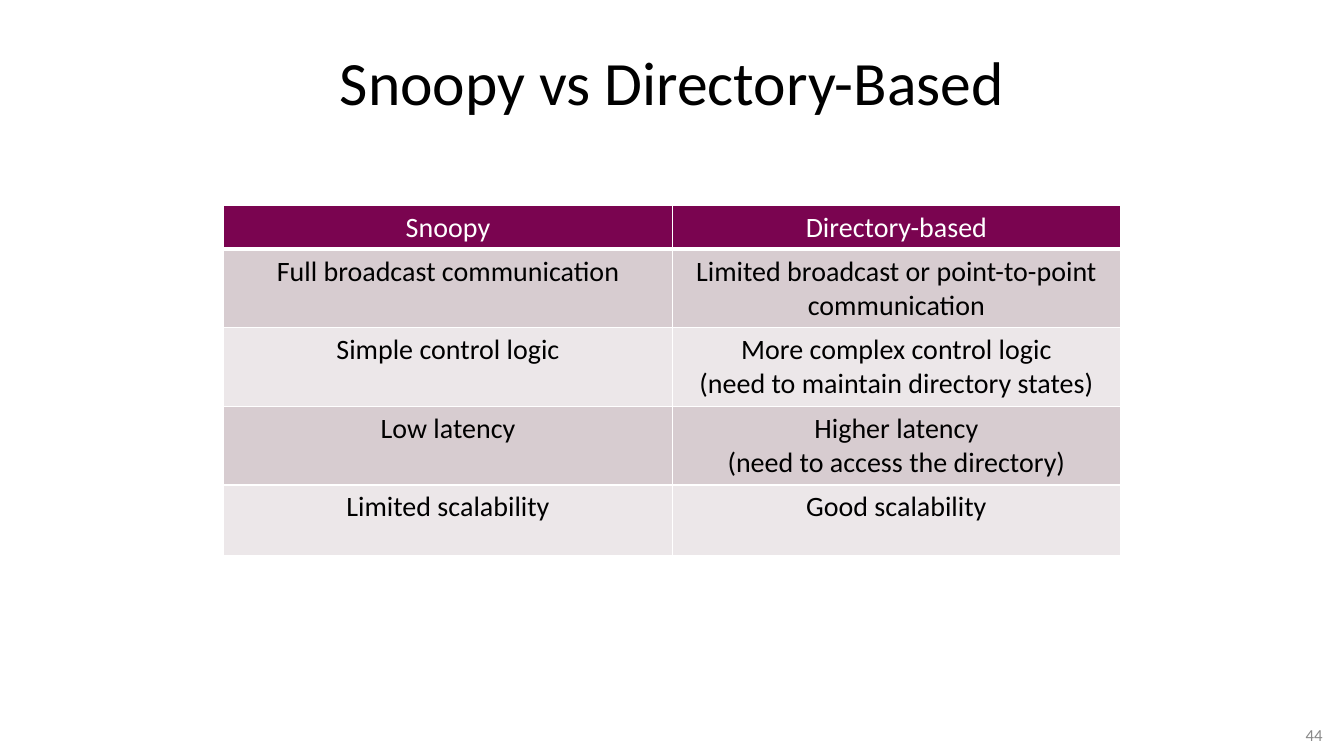
from lxml import etree
from pptx import Presentation
from pptx.dml.color import RGBColor
from pptx.enum import text
from pptx.oxml import ns
from pptx.util import Cm, Pt

WHITE = RGBColor(0xFF, 0xFF, 0xFF)
BLACK = RGBColor(0, 0, 0)
GREY = RGBColor(0x89, 0x89, 0x89)
PLUM = RGBColor(0x7A, 0x04, 0x50)
ROSE = RGBColor(0xD7, 0xCC, 0xD0)
PALE = RGBColor(0xEC, 0xE7, 0xE9)
ALIGN = text.PP_ALIGN


def style(frame, size, color, align):
    for par in frame.paragraphs:
        par.alignment = align
        par.font.name = "Calibri"
        par.font.size = Pt(size)
        par.font.bold = False
        par.font.color.rgb = color


def border(cell, side, width):
    """Draw a white line on one side (L, R, T or B) of a cell."""
    props = cell._tc.get_or_add_tcPr()
    line = etree.SubElement(props, ns.qn("a:ln" + side), w=str(Pt(width)))
    fill = etree.SubElement(line, ns.qn("a:solidFill"))
    etree.SubElement(fill, ns.qn("a:srgbClr"), val=str(WHITE))


deck = Presentation()
deck.slide_width, deck.slide_height = Cm(33.87), Cm(19.05)
slide = deck.slides.add_slide(deck.slide_layouts[6])

labels = [
    ("Snoopy vs Directory-Based", (1.7, 0.76, 30.48, 2.57), 44, BLACK, ALIGN.CENTER),
    ("44", (29.95, 18.14, 3.63, 0.74), 12, GREY, ALIGN.RIGHT),
]
for words, place, size, color, align in labels:
    frame = slide.shapes.add_textbox(*map(Cm, place)).text_frame
    frame.word_wrap = True
    frame.vertical_anchor = text.MSO_ANCHOR.MIDDLE
    frame.text = words
    style(frame, size, color, align)

rows = [
    ("Snoopy", "Directory-based"),
    ("Full broadcast communication", "Limited broadcast or point-to-point communication"),
    ("Simple control logic", "More complex control logic\n(need to maintain directory states)"),
    ("Low latency", "Higher latency\n(need to access the directory)"),
    ("Limited scalability", "Good scalability"),
]
heights = [1.1, 1.98, 1.98, 1.98, 1.77]

table = slide.shapes.add_table(
    len(rows), 2, Cm(5.64), Cm(5.18), Cm(22.6), Cm(sum(heights))
).table
table.first_row = table.horz_banding = False
for r, (row, height) in enumerate(zip(rows, heights)):
    table.rows[r].height = Cm(height)
    head = r == 0
    for c, words in enumerate(row):
        cell = table.cell(r, c)
        cell.text = words
        style(cell.text_frame, 20, WHITE if head else BLACK, ALIGN.CENTER)
        for side in "LRTB":
            thick = (head and side == "B") or (r == 1 and side == "T")
            border(cell, side, 3 if thick else 1)
        cell.fill.solid()
        cell.fill.fore_color.rgb = PLUM if head else (PALE, ROSE)[r % 2]

deck.save("out.pptx")
